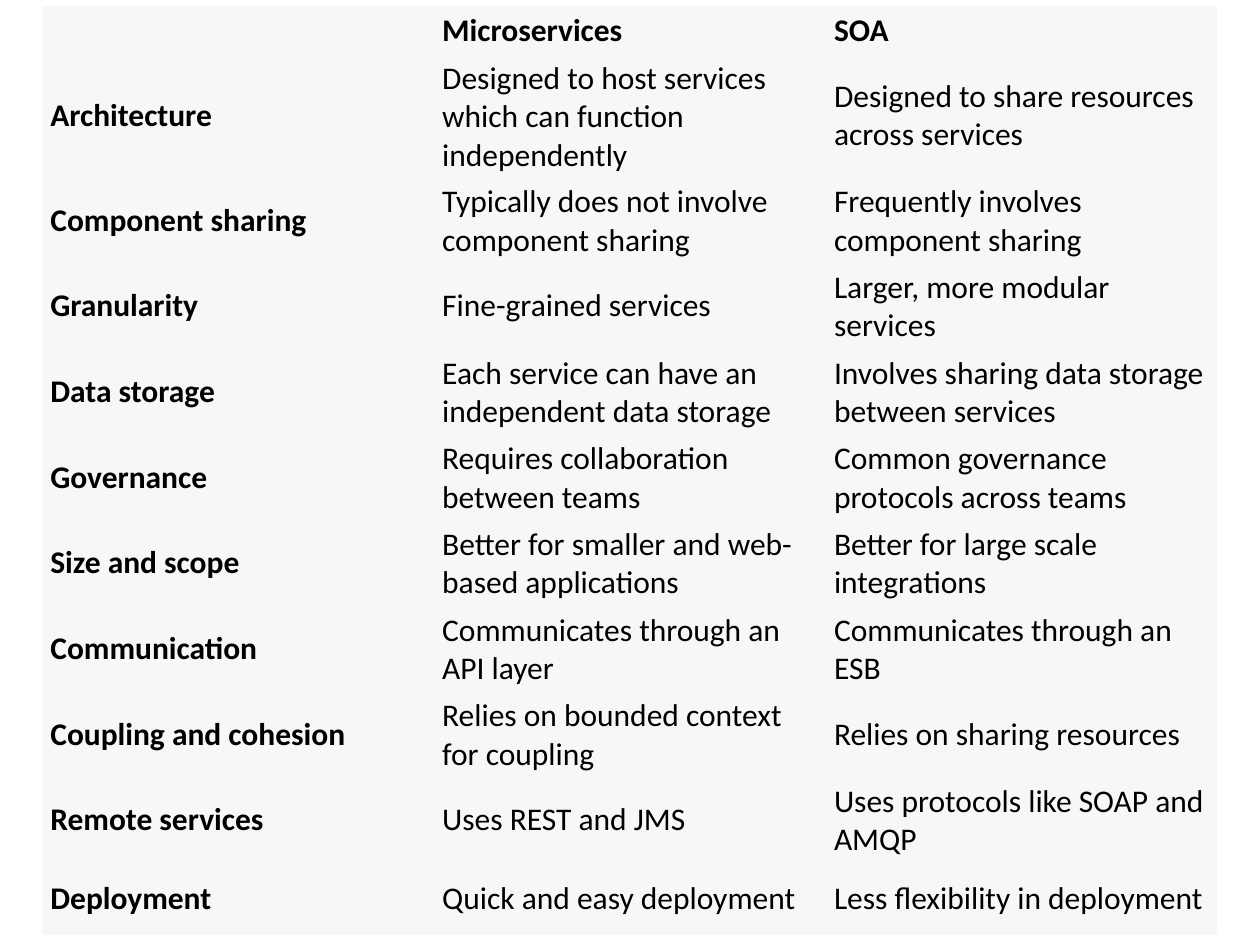
from dataclasses import dataclass

import pptx
import pptx.dml.color
import pptx.enum.text
import pptx.util
from pptx.util import Inches


@dataclass(frozen=True)
class Theme:
    text: str = "000000"
    cell_fill: str = "F7F7F7"
    page_number: str = "808080"
    table_font: str = "Calibri"
    page_font: str = "Cabin"
    table_size: int = 18
    page_size: int = 12


@dataclass(frozen=True)
class Comparison:
    aspect: str
    microservices: str
    soa: str
    height: float = 0.57


THEME = Theme()
PLAIN_TABLE_STYLE = "{2D5ABB26-0587-4C30-8999-92F81FD0307C}"
COLUMN_WIDTH = 3.11

COMPARISONS = [
    Comparison("", "Microservices", "SOA", 0.32),
    Comparison("Architecture",
               "Designed to host services which can function independently",
               "Designed to share resources across services", 0.81),
    Comparison("Component sharing",
               "Typically does not involve component sharing",
               "Frequently involves component sharing"),
    Comparison("Granularity", "Fine-grained services",
               "Larger, more modular services"),
    Comparison("Data storage",
               "Each service can have an independent data storage",
               "Involves sharing data storage between services"),
    Comparison("Governance", "Requires collaboration between teams",
               "Common governance protocols across teams"),
    Comparison("Size and scope",
               "Better for smaller and web-based applications",
               "Better for large scale integrations"),
    Comparison("Communication", "Communicates through an API layer",
               "Communicates through an ESB"),
    Comparison("Coupling and cohesion",
               "Relies on bounded context for coupling",
               "Relies on sharing resources"),
    Comparison("Remote services", "Uses REST and JMS",
               "Uses protocols like SOAP and AMQP"),
    Comparison("Deployment", "Quick and easy deployment",
               "Less flexibility in deployment"),
]


def rgb(value: str) -> pptx.dml.color.RGBColor:
    return pptx.dml.color.RGBColor.from_string(value)


def set_font(paragraph, name: str, size: int, color: str, bold: bool = False) -> None:
    paragraph.font.name = name
    paragraph.font.size = pptx.util.Pt(size)
    paragraph.font.color.rgb = rgb(color)
    paragraph.font.bold = bold


def fill_cell(cell, text: str, bold: bool) -> None:
    cell.text = text
    cell.vertical_anchor = pptx.enum.text.MSO_ANCHOR.MIDDLE
    cell.margin_left = cell.margin_right = Inches(0.07)
    cell.margin_top = cell.margin_bottom = Inches(0.04)
    cell.fill.solid()
    cell.fill.fore_color.rgb = rgb(THEME.cell_fill)
    set_font(cell.text_frame.paragraphs[0], THEME.table_font,
             THEME.table_size, THEME.text, bold)


def add_page_number(slide, number: str) -> None:
    page_box = slide.shapes.add_textbox(
        Inches(9.25), Inches(7.17), Inches(0.5), Inches(0.3))
    page_box.text_frame.word_wrap = True
    page_line = page_box.text_frame.paragraphs[0]
    page_line.text = number
    page_line.alignment = pptx.enum.text.PP_ALIGN.CENTER
    set_font(page_line, THEME.page_font, THEME.page_size, THEME.page_number)


def add_comparison_table(slide, comparisons: list[Comparison]) -> None:
    frame = slide.shapes.add_table(
        len(comparisons), 3, Inches(0.33), Inches(0.05),
        Inches(3 * COLUMN_WIDTH), Inches(sum(c.height for c in comparisons)))
    table = frame.table
    table.horz_banding = False
    table._tbl.tblPr.find(pptx.oxml.ns.qn("a:tableStyleId")).text = PLAIN_TABLE_STYLE
    for column in table.columns:
        column.width = Inches(COLUMN_WIDTH)
    for row_index, (row, comparison) in enumerate(zip(table.rows, comparisons)):
        row.height = Inches(comparison.height)
        texts = (comparison.aspect, comparison.microservices, comparison.soa)
        for column_index, (cell, text) in enumerate(zip(row.cells, texts)):
            fill_cell(cell, text, bold=row_index == 0 or column_index == 0)


def main() -> None:
    presentation = pptx.Presentation()
    presentation.slide_width = Inches(10)
    presentation.slide_height = Inches(7.5)
    slide = presentation.slides.add_slide(presentation.slide_layouts[6])
    add_page_number(slide, "8")
    add_comparison_table(slide, COMPARISONS)
    presentation.save("out.pptx")


if __name__ == "__main__":
    main()
